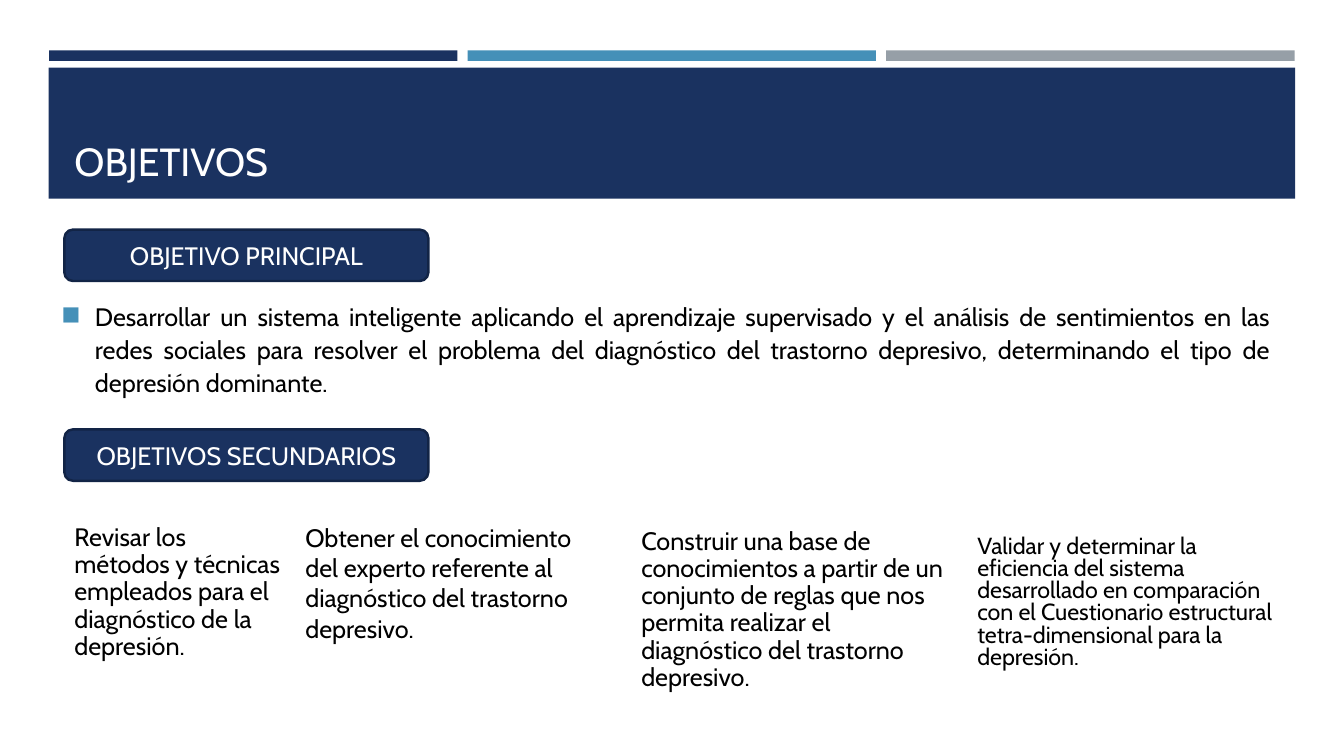
from lxml import etree
from pptx import Presentation
from pptx.dml.color import RGBColor
from pptx.enum.shapes import MSO_SHAPE
from pptx.enum.text import MSO_ANCHOR, MSO_AUTO_SIZE, PP_ALIGN
from pptx.oxml.ns import qn
from pptx.util import Pt

RECTANGLE, ROUNDED = MSO_SHAPE.RECTANGLE, MSO_SHAPE.ROUNDED_RECTANGLE
TOP, MIDDLE, BOTTOM = MSO_ANCHOR.TOP, MSO_ANCHOR.MIDDLE, MSO_ANCHOR.BOTTOM
LEFT, CENTER, JUSTIFY = PP_ALIGN.LEFT, PP_ALIGN.CENTER, PP_ALIGN.JUSTIFY
NO_AUTOFIT = MSO_AUTO_SIZE.NONE
FONT = "Cabin"
COLORS = {
    "navy": "1A3260",
    "blue": "4590B8",
    "gray": "969FA7",
    "outline": "122446",
    "white": "FFFFFF",
    "black": "000000",
}
MAIN_GOAL = (
    "Desarrollar un sistema inteligente aplicando el aprendizaje supervisado y el "
    "análisis de sentimientos en las redes sociales para resolver el problema del "
    "diagnóstico del trastorno depresivo, determinando el tipo de depresión dominante."
)
SECONDARY_GOALS = [
    (46, 371.2, 165, 105, 18, 0.9,
     "Revisar los métodos y técnicas empleados para el diagnóstico de la depresión."),
    (211, 369.4, 230, 95, 18, 1.0,
     "Obtener el conocimiento del experto referente al diagnóstico del trastorno "
     "depresivo."),
    (451, 374, 230, 125, 18, 0.9,
     "Construir una base de conocimientos a partir de un conjunto de reglas que nos "
     "permita realizar el diagnóstico del trastorno depresivo."),
    (691, 379.5, 230, 105, 16.6, 0.8,
     "Validar y determinar la eficiencia del sistema desarrollado en comparación con "
     "el Cuestionario estructural tetra-dimensional para la depresión."),
]


def color(name):
    """Return the named colour."""
    return RGBColor.from_string(COLORS[name])


def write(shape, text, size, ink, anchor, align=LEFT, spacing=1.0):
    """Write one formatted paragraph in a shape and return it."""
    frame = shape.text_frame
    frame.text = text
    frame.word_wrap = True
    frame.auto_size = NO_AUTOFIT
    frame.vertical_anchor = anchor
    para = frame.paragraphs[0]
    para.alignment = align
    para.line_spacing = spacing
    para.font.name = FONT
    para.font.size = Pt(size)
    para.font.color.rgb = color(ink)
    return para


def add_block(page, kind, left, top, width, height, fill):
    """Add a filled shape without outline or shadow."""
    block = page.shapes.add_shape(kind, Pt(left), Pt(top), Pt(width), Pt(height))
    block.shadow.inherit = False
    block.fill.solid()
    block.fill.fore_color.rgb = color(fill)
    block.line.fill.background()
    return block


def add_label(page, top, text):
    """Add a rounded section label."""
    label = add_block(page, ROUNDED, 46, top, 260, 36.7, "navy")
    label.line.color.rgb = color("outline")
    label.line.width = Pt(1.75)
    write(label, text, 18, "white", MIDDLE, CENTER)


def add_text(page, left, top, width, height, text, size, anchor, align, spacing):
    """Add a text box and return its paragraph."""
    box = page.shapes.add_textbox(Pt(left), Pt(top), Pt(width), Pt(height))
    return write(box, text, size, "black", anchor, align, spacing)


def add_bullet(para, indent):
    """Give a paragraph a hanging blue square bullet."""
    properties = para._p.get_or_add_pPr()
    properties.set("marL", str(Pt(indent)))
    properties.set("indent", str(-Pt(indent)))
    tint = etree.SubElement(properties, qn("a:buClr"))
    etree.SubElement(tint, qn("a:srgbClr"), val=COLORS["blue"])
    etree.SubElement(properties, qn("a:buSzPct"), val="92000")
    etree.SubElement(properties, qn("a:buChar"), char="◼")


def add_header(page, text):
    """Add the three accent bars and the title over its band."""
    for column, fill in enumerate(("navy", "blue", "gray")):
        add_block(page, RECTANGLE, 35 + 299 * column, 36, 291.7, 7.5, fill)
    add_block(page, RECTANGLE, 34.8, 48.3, 890.4, 93.7, "navy")
    title = page.shapes.title
    title.left, title.top, title.width, title.height = Pt(46), Pt(55.5), Pt(868), Pt(80)
    write(title, text, 28, "white", BOTTOM)
    page.shapes.element.append(title.element)


def main():
    """Build and save the slide."""
    deck = Presentation()
    deck.slide_width, deck.slide_height = Pt(960), Pt(540)
    page = deck.slides.add_slide(deck.slide_layouts[5])
    add_header(page, "OBJETIVOS")
    add_label(page, 164, "OBJETIVO PRINCIPAL")
    add_label(page, 306.7, "OBJETIVOS SECUNDARIOS")
    goal = add_text(page, 36.7, 209, 877.7, 79, MAIN_GOAL, 18, MIDDLE, JUSTIFY, 1.1)
    add_bullet(goal, 24)
    for left, top, width, height, size, spacing, text in SECONDARY_GOALS:
        add_text(page, left, top, width, height, text, size, TOP, LEFT, spacing)
    deck.save("out.pptx")


if __name__ == "__main__":
    main()
